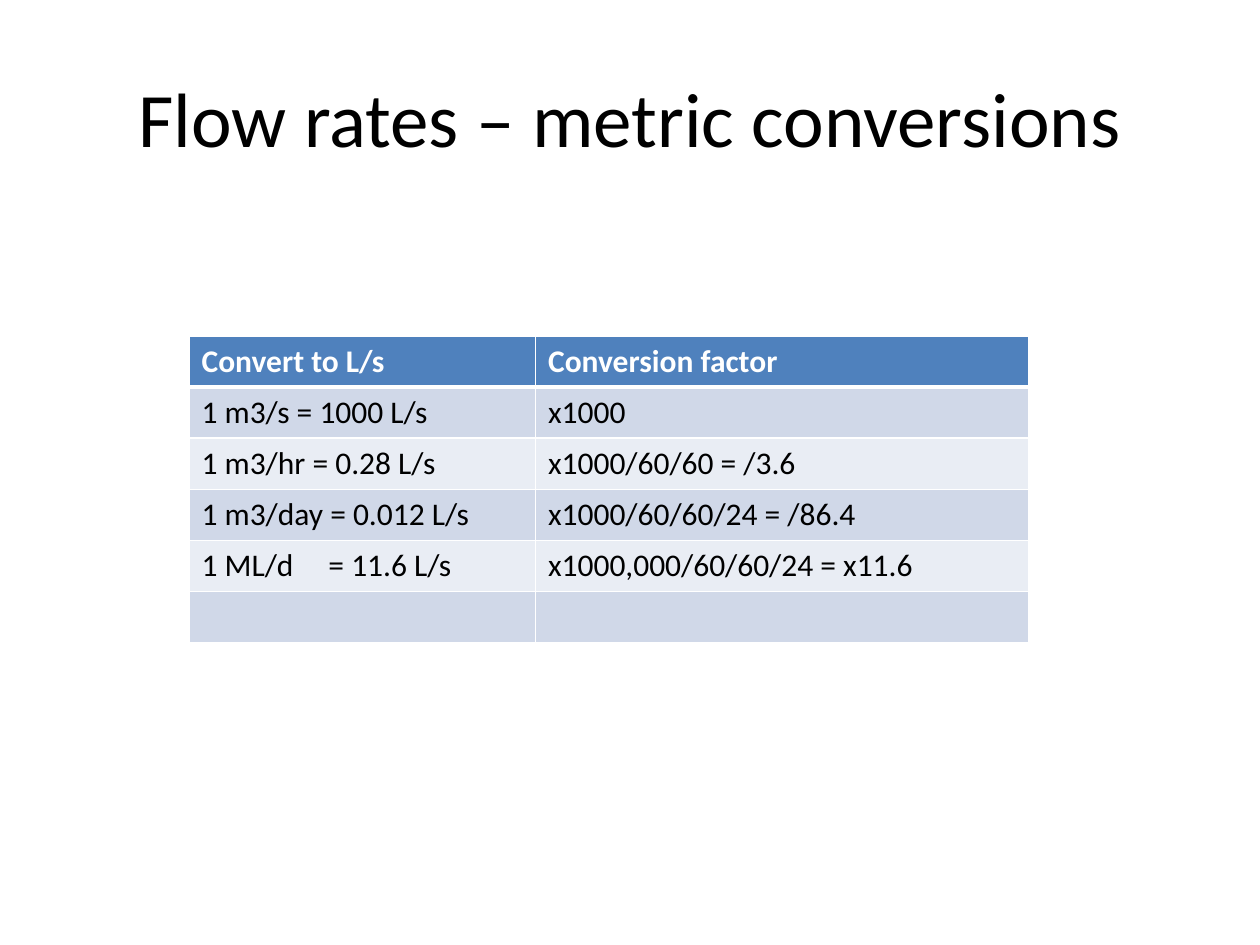
from lxml import etree
from pptx import Presentation
from pptx.dml.color import RGBColor
from pptx.enum.text import MSO_ANCHOR, PP_ALIGN
from pptx.oxml.ns import qn
from pptx.util import Pt

CENTER, MIDDLE = PP_ALIGN.CENTER, MSO_ANCHOR.MIDDLE

# Content
TITLE = "Flow rates – metric conversions"
ROWS = [
    ("Convert to L/s", "Conversion factor"),
    ("1 m3/s = 1000 L/s", "x1000"),
    ("1 m3/hr = 0.28 L/s", "x1000/60/60 = /3.6"),
    ("1 m3/day = 0.012 L/s", "x1000/60/60/24 = /86.4"),
    ("1 ML/d\t= 11.6 L/s", "x1000,000/60/60/24 = x11.6"),
    ("", ""),
]
COL_WIDTHS = (198, 282)
ROW_HEIGHT = 29.2
TAB_STOP = 72.5
HEADER_FILL, BAND_FILLS = "4F81BD", ("E9EDF4", "D0D8E8")
BLACK, WHITE = "000000", "FFFFFF"


def rgb(value):
    return RGBColor.from_string(value)


def add_text(tf, text, size=18, color=BLACK, bold=False, align=None):
    p = tf.paragraphs[0]
    p.alignment = align
    if "\t" in text:
        tabs = etree.SubElement(p._p.get_or_add_pPr(), qn("a:tabLst"))
        etree.SubElement(tabs, qn("a:tab"), pos=str(Pt(TAB_STOP)), algn="l")
    r = p.add_run()
    r.text = text
    r.font.name, r.font.size, r.font.bold = "Calibri", Pt(size), bold
    r.font.color.rgb = rgb(color)


def set_borders(cell, **widths):
    for side in "LRTB":
        ln = etree.SubElement(cell._tc.get_or_add_tcPr(), qn("a:ln" + side),
                              w=str(Pt(widths.get(side, 1))))
        fill = etree.SubElement(ln, qn("a:solidFill"))
        etree.SubElement(fill, qn("a:srgbClr"), val=WHITE)


prs = Presentation()
prs.slide_width, prs.slide_height = Pt(720), Pt(540)
s = prs.slides.add_slide(prs.slide_layouts[6])

# Title
tf = s.shapes.add_textbox(Pt(36), Pt(21.6), Pt(648), Pt(90)).text_frame
tf.word_wrap = True
tf.vertical_anchor = MIDDLE
add_text(tf, TITLE, size=44, align=CENTER)

# Conversion table
table = s.shapes.add_table(len(ROWS), len(COL_WIDTHS), Pt(108), Pt(192),
                           Pt(sum(COL_WIDTHS)), Pt(ROW_HEIGHT * len(ROWS))).table
for col, width in zip(table.columns, COL_WIDTHS):
    col.width = Pt(width)
for i, row in enumerate(ROWS):
    table.rows[i].height = Pt(ROW_HEIGHT)
    header = i == 0
    for j, text in enumerate(row):
        cell = table.cell(i, j)
        set_borders(cell, B=3 if header else 1, T=3 if i == 1 else 1)
        cell.fill.solid()
        cell.fill.fore_color.rgb = rgb(HEADER_FILL if header else BAND_FILLS[i % 2])
        if text:
            add_text(cell.text_frame, text, color=WHITE if header else BLACK, bold=header)

prs.save("out.pptx")
